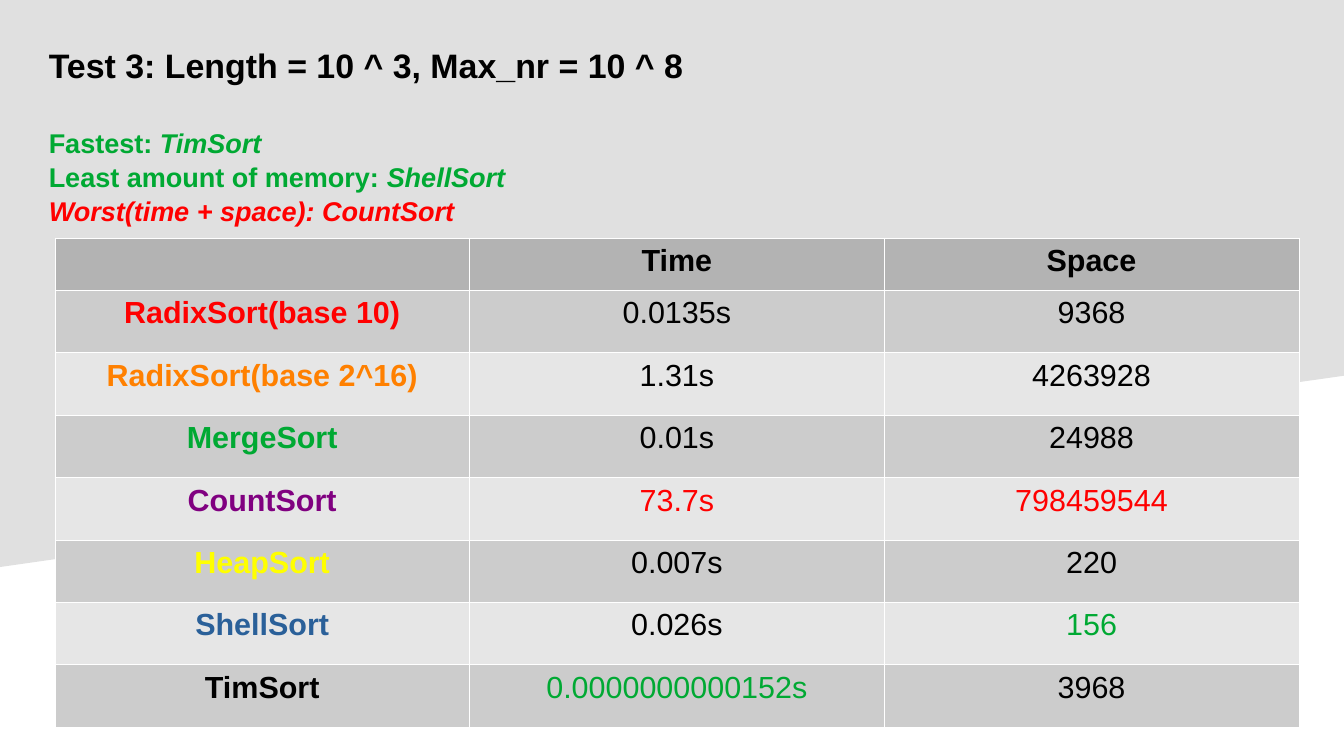
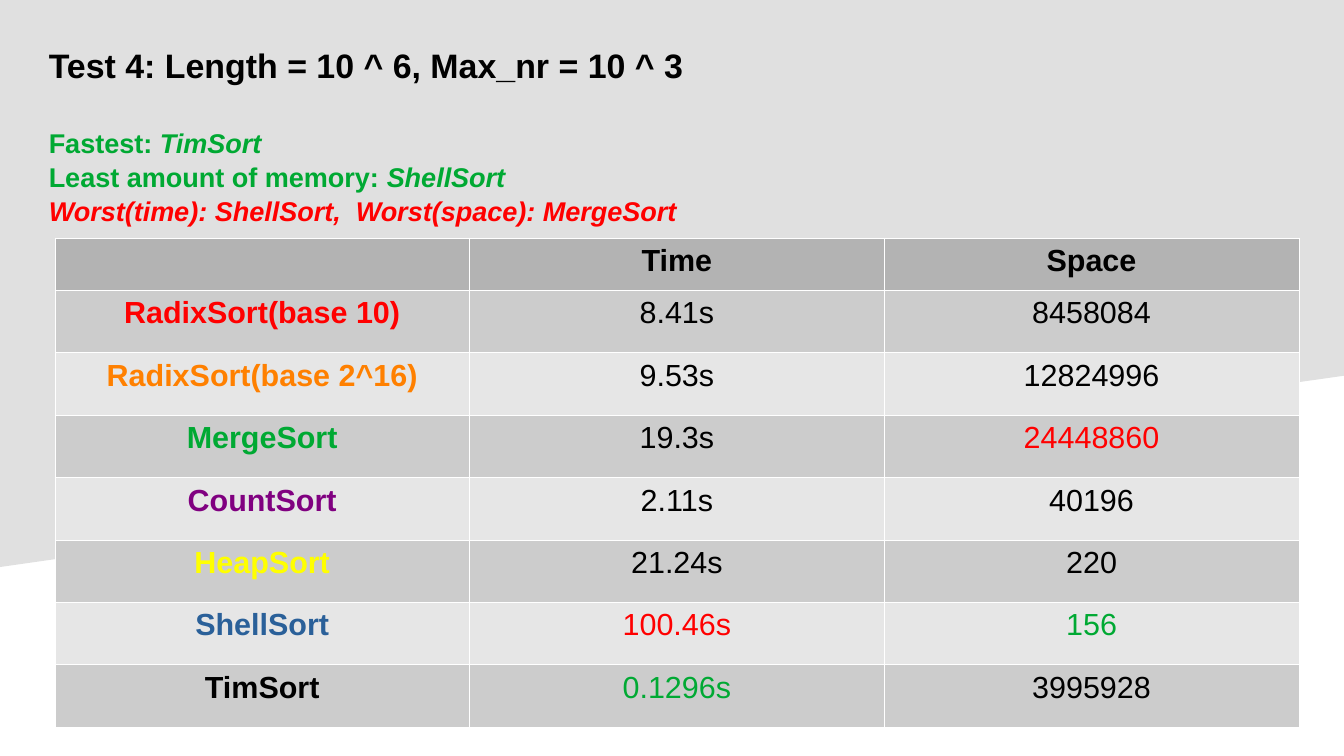
"""Build two slides that compare sorting methods by time and space."""
from lxml import etree
from pptx import Presentation
from pptx.dml.color import RGBColor
from pptx.enum.text import MSO_ANCHOR, MSO_AUTO_SIZE, PP_ALIGN
from pptx.oxml.ns import qn
from pptx.util import Inches, Pt

CENTER, LEFT = PP_ALIGN.CENTER, PP_ALIGN.LEFT
TOP, FIXED = MSO_ANCHOR.TOP, MSO_AUTO_SIZE.NONE

THEME = {
    "font": "Arial", "title": 20, "list": 16, "cell": 18, "rule": 0.06, "lead": 1.05,
    "ink": "000000", "paper": "FFFFFF", "band": "E0E0E0",
    "best": "00A933", "worst": "FF0000",
    "head": "B3B3B3", "rows": ("CCCCCC", "E6E6E6"),
}
WIDE, HIGH = 11.02, 6.2
BAND = [(0, 0.75), (0, 0), (1, 0), (1, 0.497)]
TITLE = (0.3, 0.3, 10.72, 0.5)
LIST = (0.3, 0.97, 10.72, 0.95)
GRID = (0.45, 1.95, 10.2, 4.01)
HEAD = 0.43

COLS = ("", "Time", "Space")
SORTS = [
    ("RadixSort(base 10)", "FF0000"),
    ("RadixSort(base 2^16)", "FF8000"),
    ("MergeSort", "00A933"),
    ("CountSort", "800080"),
    ("HeapSort", "FFFF00"),
    ("ShellSort", "2A6099"),
    ("TimSort", "000000"),
]
TESTS = [
    {
        "title": "Test 3: Length = 10 ^ 3, Max_nr = 10 ^ 8",
        "worst": "Worst(time + space): CountSort",
        "time": ("0.0135s", "1.31s", "0.01s", "73.7s", "0.007s", "0.026s",
                 "0.0000000000152s"),
        "space": ("9368", "4263928", "24988", "798459544", "220", "156", "3968"),
    },
    {
        "title": "Test 4: Length = 10 ^ 6, Max_nr = 10 ^ 3",
        "worst": "Worst(time): ShellSort,  Worst(space): MergeSort",
        "time": ("8.41s", "9.53s", "19.3s", "2.11s", "21.24s", "100.46s", "0.1296s"),
        "space": ("8458084", "12824996", "24448860", "40196", "220", "156", "3995928"),
    },
]
WINS = [("Fastest: ", "TimSort"), ("Least amount of memory: ", "ShellSort")]


def style(run, size, color, bold=True, slant=False):
    """Set the font of one run."""
    font = run.font
    font.name, font.size, font.bold, font.italic = THEME["font"], Pt(size), bold, slant
    font.color.rgb = RGBColor.from_string(color)


def place(shape, box):
    """Move a shape to a box given in inches."""
    shape.left, shape.top, shape.width, shape.height = map(Inches, box)


def setup(frame):
    """Give a text frame fixed size and top alignment."""
    frame.auto_size, frame.vertical_anchor, frame.word_wrap = FIXED, TOP, True


def pack(para):
    """Set a plain, left-aligned paragraph without bullet."""
    para.alignment, para.line_spacing = LEFT, THEME["lead"]
    para.space_before = para.space_after = Pt(0)
    props = para._p.get_or_add_pPr()
    props.set("marL", "0")
    props.set("indent", "0")
    etree.SubElement(props, qn("a:buNone"))


def backdrop(layout, slide):
    """Draw the slanted band and move it into the layout."""
    pts = [(Inches(x * WIDE), Inches(y * HIGH)) for x, y in BAND]
    path = slide.shapes.build_freeform(*pts[0])
    path.add_line_segments(pts[1:], close=True)
    band = path.convert_to_shape()
    band.shadow.inherit = False
    band.fill.solid()
    band.fill.fore_color.rgb = RGBColor.from_string(THEME["band"])
    band.line.fill.background()
    band.element.nvSpPr.cNvPr.set("id", "90")
    layout.placeholders[0].element.addprevious(band.element)


def border(cell):
    """Draw thin lines on all sides of a cell."""
    props = cell._tc.get_or_add_tcPr()
    for spot, side in enumerate("LRTB"):
        line = etree.Element(qn("a:ln" + side), w=str(Pt(THEME["rule"])))
        fill = etree.SubElement(line, qn("a:solidFill"))
        etree.SubElement(fill, qn("a:srgbClr"), val=THEME["paper"])
        props.insert(spot, line)


def write(cell, text, color, bold, fill):
    """Fill one cell."""
    cell.fill.solid()
    cell.fill.fore_color.rgb = RGBColor.from_string(fill)
    border(cell)
    para = cell.text_frame.paragraphs[0]
    para.alignment = CENTER
    para.text = text
    for run in para.runs:
        style(run, THEME["cell"], color, bold)


def rate(vals):
    """Pair each value with a colour: least is best, most is worst."""
    nums = [float(val.rstrip("s")) for val in vals]
    marks = {min(nums): THEME["best"], max(nums): THEME["worst"]}
    return [(val, marks.get(num, THEME["ink"])) for val, num in zip(vals, nums)]


def grid(slide, test):
    """Add the table of results."""
    count = len(SORTS)
    table = slide.shapes.add_table(count + 1, len(COLS), *map(Inches, GRID)).table
    table.rows[0].height = Inches(HEAD)
    for row in list(table.rows)[1:]:
        row.height = Inches((GRID[3] - HEAD) / count)
    for col, text in enumerate(COLS):
        write(table.cell(0, col), text, THEME["ink"], True, THEME["head"])
    for col, part in enumerate((SORTS, rate(test["time"]), rate(test["space"]))):
        for row, (text, color) in enumerate(part):
            fill = THEME["rows"][row % 2]
            write(table.cell(row + 1, col), text, color, col == 0, fill)


def heading(slide, test):
    """Fill the title and the list of verdicts."""
    title, body = (slide.placeholders[idx].text_frame for idx in (0, 1))
    setup(title)
    setup(body)
    title.text = test["title"]
    pack(title.paragraphs[0])
    style(title.paragraphs[0].runs[0], THEME["title"], THEME["ink"])
    lines = [(parts, THEME["best"]) for parts in WINS]
    lines.append((("", test["worst"]), THEME["worst"]))
    for num, ((label, name), color) in enumerate(lines):
        para = body.paragraphs[0] if num == 0 else body.add_paragraph()
        pack(para)
        for text, slant in ((label, False), (name, True)):
            if text:
                run = para.add_run()
                run.text = text
                style(run, THEME["list"], color, slant=slant)


def main():
    """Build and save the deck."""
    deck = Presentation()
    deck.slide_width, deck.slide_height = Inches(WIDE), Inches(HIGH)
    layout = deck.slide_layouts[1]
    for holder, box in zip(layout.placeholders, (TITLE, LIST)):
        place(holder, box)
    for num, test in enumerate(TESTS):
        slide = deck.slides.add_slide(layout)
        if num == 0:
            backdrop(layout, slide)
        heading(slide, test)
        grid(slide, test)
    deck.save("out.pptx")


if __name__ == "__main__":
    main()
